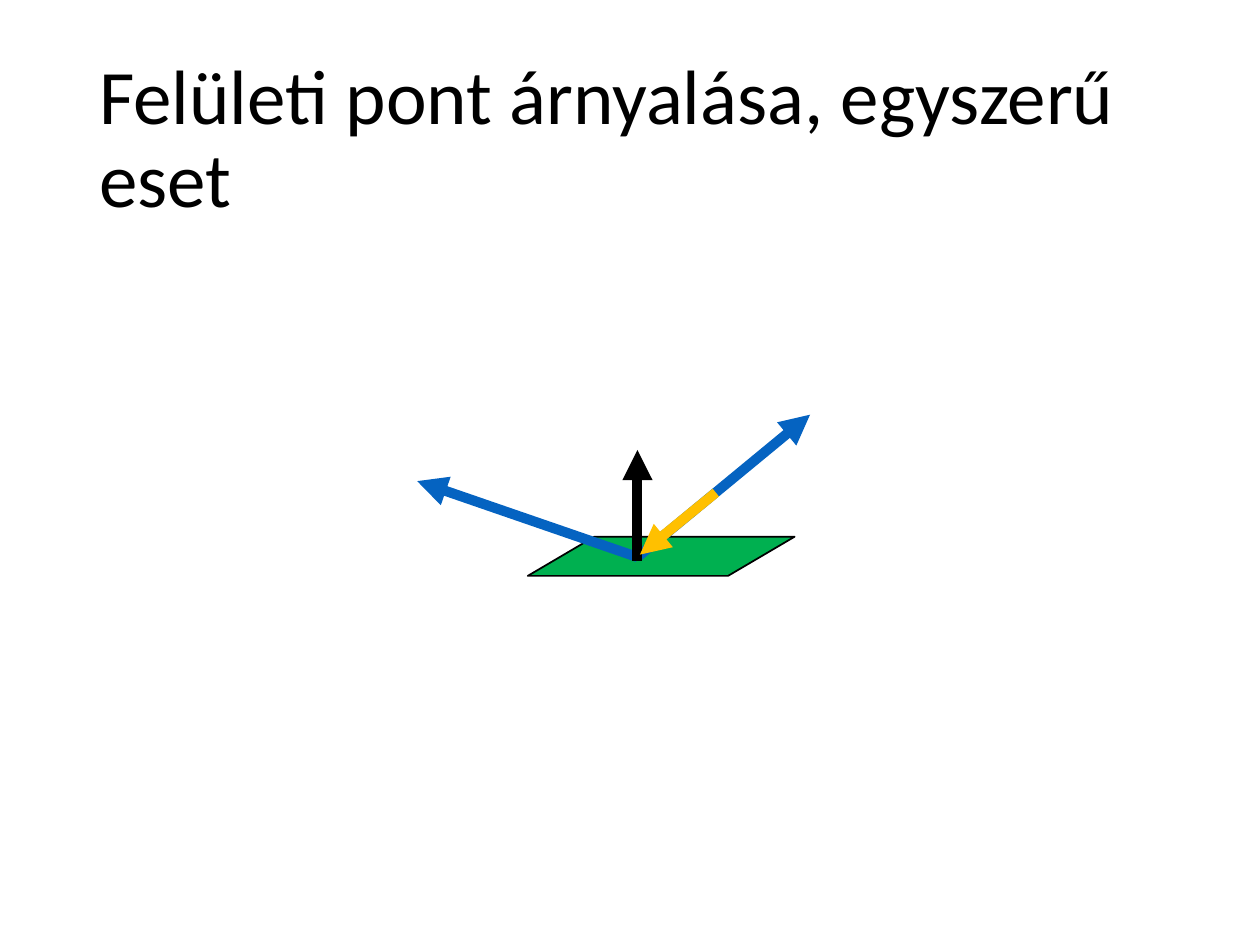
from lxml import etree
from pptx import Presentation
from pptx.dml.color import RGBColor
from pptx.enum.shapes import MSO_CONNECTOR, MSO_SHAPE
from pptx.enum.text import MSO_ANCHOR, PP_ALIGN
from pptx.oxml.ns import qn
from pptx.util import Cm, Pt

SLANT = MSO_SHAPE.PARALLELOGRAM
LINE = MSO_CONNECTOR.STRAIGHT
MIDDLE = MSO_ANCHOR.MIDDLE
LEFT = PP_ALIGN.LEFT

BLACK, BLUE, GOLD, GREEN = "000000", "0563C1", "FFC000", "00B050"

FRAME = {"word_wrap": True, "vertical_anchor": MIDDLE}
PARA = {"alignment": LEFT, "line_spacing": 0.9}
FONT = {"name": "Calibri", "size": Pt(44)}


def color(text):
    return RGBColor.from_string(text)


def apply(item, values):
    for name, value in values.items():
        setattr(item, name, value)


def add_title(slide, box, text):
    frame = slide.shapes.add_textbox(*map(Cm, box)).text_frame
    apply(frame, FRAME)
    para = frame.paragraphs[0]
    para.text = text
    apply(para, PARA)
    apply(para.font, FONT)
    para.font.color.rgb = color(BLACK)


def add_arrow(slide, start, end, tone):
    arrow = slide.shapes.add_connector(LINE, *map(Cm, start + end))
    arrow.line.width = Pt(5.75)
    arrow.line.color.rgb = color(tone)
    props = arrow.line._get_or_add_ln()
    etree.SubElement(props, qn("a:tailEnd"), type="triangle")
    etree.SubElement(arrow._element.spPr, qn("a:effectLst"))


def add_scene(slide, left, top):
    plane = slide.shapes.add_shape(
        SLANT, Cm(left + 2.23), Cm(top + 2.46), Cm(5.38), Cm(0.79))
    plane.adjustments[0] = 1.7
    plane.shadow.inherit = False
    plane.fill.solid()
    plane.fill.fore_color.rgb = color(GREEN)
    plane.line.color.rgb = color(BLACK)
    plane.line.width = Pt(1)

    foot = (4.44, 2.87)
    arrows = [
        (foot, (7.92, 0), BLUE),
        (foot, (0, 1.34), BLUE),
        ((4.44, 2.94), (4.44, 0.71), BLACK),
        ((6.02, 1.57), (4.49, 2.82), GOLD),
    ]
    for start, end, tone in arrows:
        ends = [(left + x, top + y) for x, y in (start, end)]
        add_arrow(slide, *ends, tone)


def main():
    deck = Presentation()
    deck.slide_width, deck.slide_height = Cm(25.4), Cm(19.05)
    slide = deck.slides.add_slide(deck.slide_layouts[6])
    add_title(slide, (1.75, 1.01, 21.9, 3.68),
              "Felületi pont árnyalása, egyszerű eset")
    add_scene(slide, 8.41, 8.36)
    deck.save("out.pptx")


if __name__ == "__main__":
    main()
